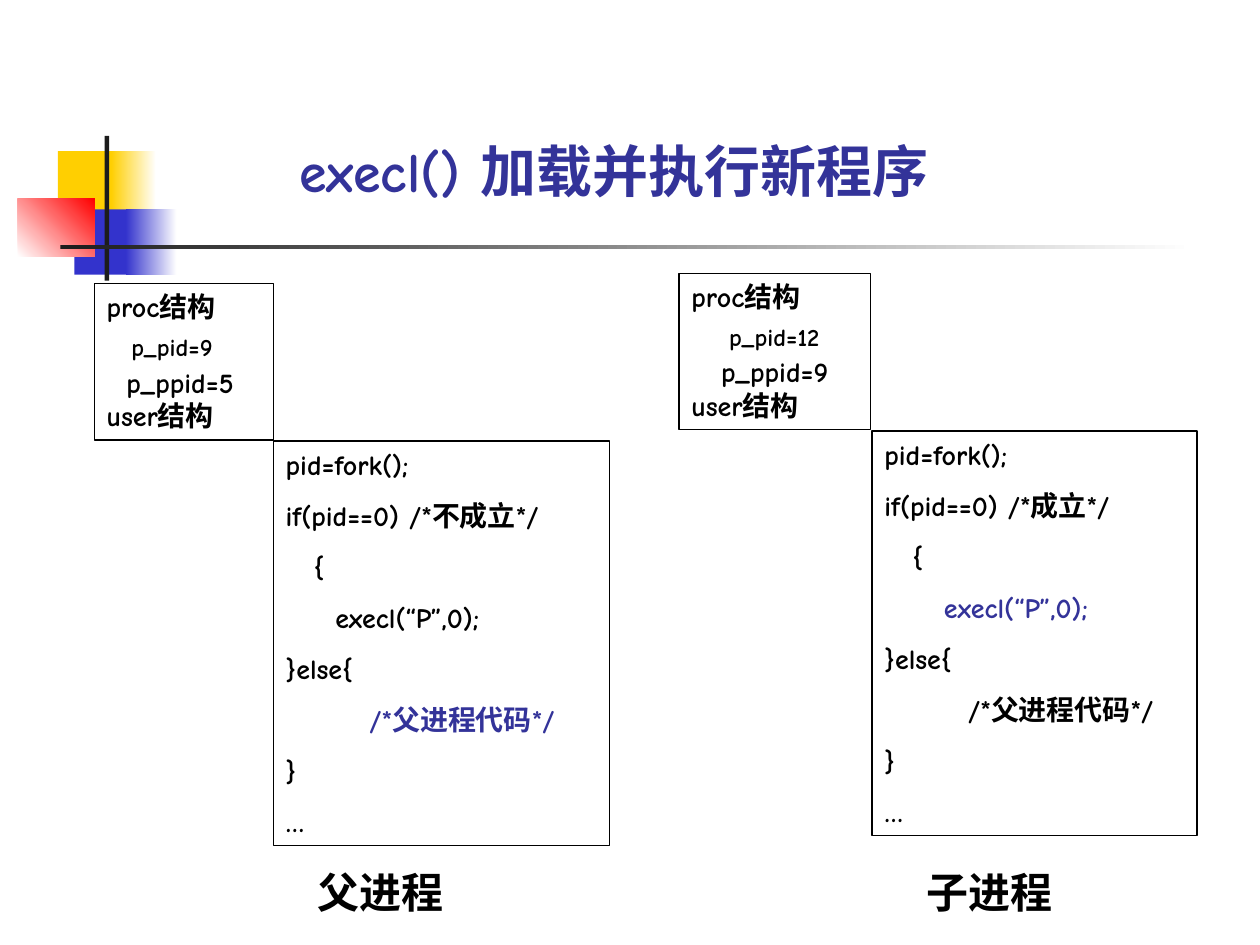
from dataclasses import dataclass

from pptx import Presentation
from pptx.dml.color import RGBColor
from pptx.enum.shapes import MSO_SHAPE
from pptx.enum.text import MSO_ANCHOR, PP_ALIGN
from pptx.util import Cm, Pt


@dataclass(frozen=True)
class Theme:
    black: str = "000000"
    white: str = "FFFFFF"
    indigo: str = "333399"
    yellow: str = "FFCF01"
    blue: str = "3333CC"
    red: str = "FF0000"
    charcoal: str = "1C1C1C"
    latin: str = "Comic Neue"
    serif: str = "Times New Roman"
    title: int = 32
    caption: int = 24
    body: int = 16
    small: int = 14


theme = Theme()


def add_rectangle(box, start=None, end=None, angle=0):
    """Add a rectangle without outline: empty, solid, or fading from start to end."""
    shape = slide.shapes.add_shape(MSO_SHAPE.RECTANGLE, *map(Cm, box))
    shape.shadow.inherit = False
    shape.line.fill.background()
    if start is None:
        shape.fill.background()
    elif end is None:
        shape.fill.solid()
        shape.fill.fore_color.rgb = RGBColor.from_string(start)
    else:
        shape.fill.gradient()
        shape.fill.gradient_angle = angle
        for stop, color in zip(shape.fill.gradient_stops, (start, end)):
            stop.color.rgb = RGBColor.from_string(color)
    return shape


def write_lines(shape, lines):
    """Fill a shape with (runs, paragraph format) pairs; a run is (text, font, size, color)."""
    frame = shape.text_frame
    frame.word_wrap = True
    frame.vertical_anchor = MSO_ANCHOR.TOP
    for index, (runs, paragraph_format) in enumerate(lines):
        paragraph = frame.paragraphs[0] if index == 0 else frame.add_paragraph()
        paragraph.alignment = PP_ALIGN.LEFT
        for name, value in paragraph_format.items():
            if name == "indent":
                paragraph._p.get_or_add_pPr().set("marL", str(value))
            else:
                setattr(paragraph, name, value)
        for text, font, size, color in runs:
            run = paragraph.add_run()
            run.text = text
            for name, value in {"name": font, "size": Pt(size), "bold": True}.items():
                setattr(run.font, name, value)
            run.font.color.rgb = RGBColor.from_string(color)


presentation = Presentation()
presentation.slide_width, presentation.slide_height = Cm(25.4), Cm(19.05)
slide = presentation.slides.add_slide(presentation.slide_layouts[6])

# Corner ornament and title rule
for box, *colors in (
    ((1.17, 3.05, 1.22, 1.32), theme.yellow),
    ((2.24, 3.05, 0.91, 1.32), theme.yellow, theme.white),
    ((1.5, 4.22, 1.17, 1.32), theme.blue),
    ((2.54, 4.22, 1.02, 1.32), theme.blue, theme.white),
    ((0.36, 4.01, 1.55, 1.17), theme.white, theme.red, 45),
    ((2.11, 2.74, 0.09, 2.92), theme.charcoal),
    ((1.22, 4.94, 22.86, 0.09), theme.charcoal, theme.white),
):
    add_rectangle(box, *colors)

# Parent and child: a proc box, a code box and a caption each
processes = (
    {
        "caption": ("父进程", 6.15),
        "proc_box": (1.9, 5.72, 3.61, 3.15),
        "code_box": (5.51, 8.89, 6.78, 8.15),
        "ids": (("p_pid=9", 0.5), ("p_ppid=5", 0.4)),
        "condition": "不成立",
        "call": "     execl(“P”,0);",
        "active_line": 5,
    },
    {
        "caption": ("子进程", 18.42),
        "proc_box": (13.69, 5.51, 3.86, 3.15),
        "code_box": (17.58, 8.69, 6.55, 8.15),
        "ids": (("p_pid=12", 0.76), ("p_ppid=9", 0.6)),
        "condition": "成立",
        "call": "      execl(“P”,0);",
        "active_line": 3,
    },
)

for process in processes:
    code = (
        "pid=fork();",
        f"if(pid==0) /*{process['condition']}*/",
        "　{",
        process["call"],
        "}else{",
        "　　　/*父进程代码*/",
        "}",
        "…",
    )
    code_lines = []
    for number, text in enumerate(code):
        color = theme.indigo if number == process["active_line"] else theme.black
        spacing = {"space_before": Pt(10)} if number else {}
        code_lines.append(([(text, theme.latin, theme.body, color)], spacing))

    (pid, pid_indent), (parent_pid, parent_indent) = process["ids"]
    proc_lines = [
        ([(text, theme.latin, size, theme.black)], paragraph_format)
        for text, size, paragraph_format in (
            ("proc结构", theme.body, {}),
            (pid, theme.small, {"indent": Cm(pid_indent),
                                "space_before": Pt(5), "space_after": Pt(2)}),
            (parent_pid, theme.body, {"indent": Cm(parent_indent)}),
            ("user结构", theme.body, {}),
        )
    ]

    for box, lines in ((process["code_box"], code_lines), (process["proc_box"], proc_lines)):
        shape = add_rectangle(box)
        shape.line.color.rgb = RGBColor.from_string(theme.black)
        shape.line.width = Pt(0.75)
        write_lines(shape, lines)

    caption, left = process["caption"]
    caption_box = slide.shapes.add_textbox(Cm(left), Cm(17.35), Cm(3.18), Cm(1.27))
    write_lines(caption_box, [([(caption, theme.serif, theme.caption, theme.black)], {})])

# Title
title_box = slide.shapes.add_textbox(Cm(1.9), Cm(2.62), Cm(20.96), Cm(1.63))
title_runs = [
    ("execl() ", theme.latin, theme.title, theme.indigo),
    ("加载并执行新程序", theme.serif, theme.title, theme.indigo),
]
write_lines(title_box, [(title_runs, {"alignment": PP_ALIGN.CENTER})])

presentation.save("out.pptx")
